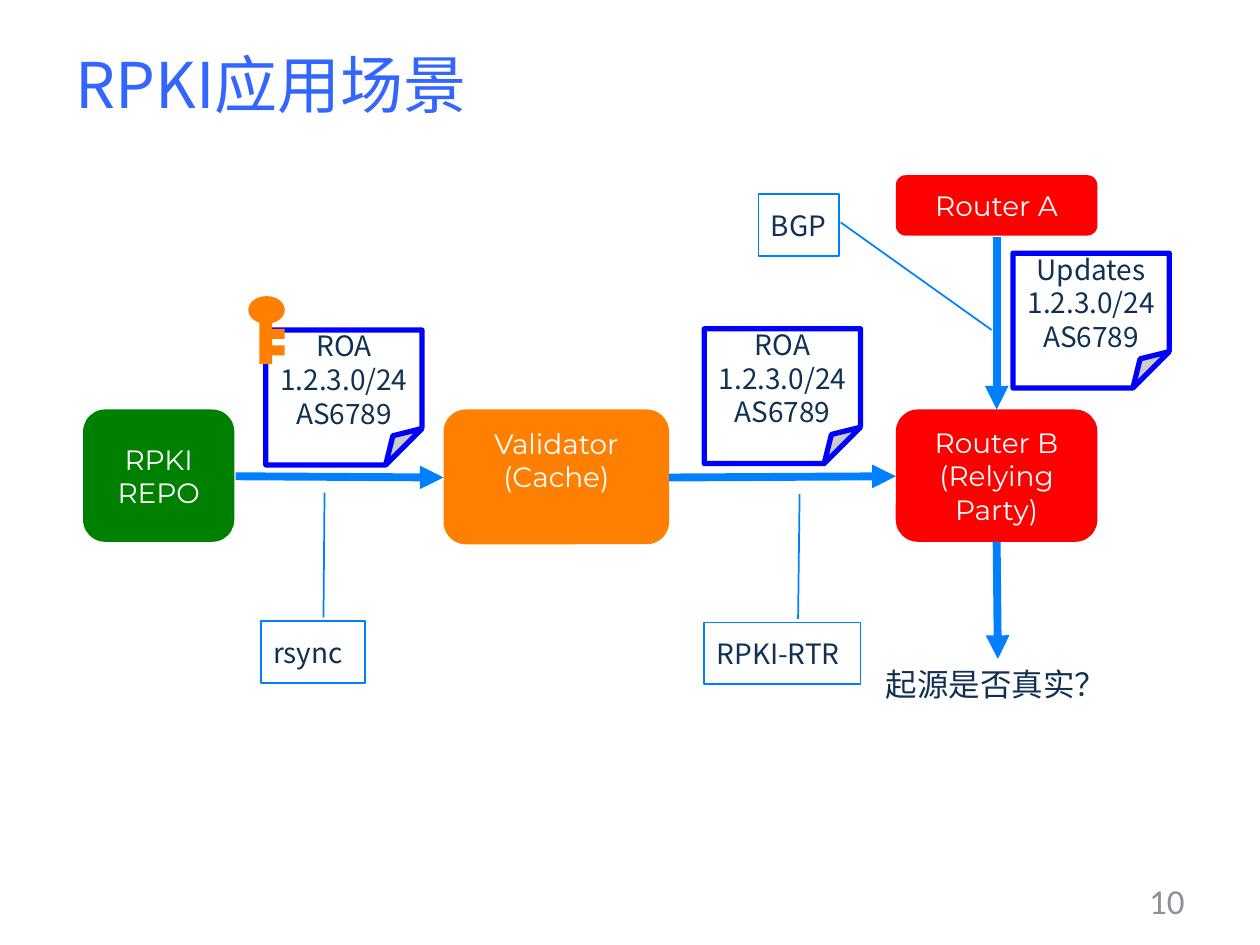
from dataclasses import dataclass

from lxml.etree import SubElement
from pptx import Presentation
from pptx.dml.color import RGBColor
from pptx.enum.shapes import MSO_CONNECTOR, MSO_SHAPE
from pptx.enum.text import MSO_ANCHOR, PP_ALIGN
from pptx.oxml.ns import qn
from pptx.util import Inches, Pt

COLORS = {
    "title": "3366FF", "text": "103154", "page": "8C9099", "white": "FFFFFF",
    "orange": "FF7F01", "green": "008000", "red": "FF0000",
    "arrow": "0080FF", "note": "0000FF",
}
SANS = "Noto Sans CJK SC"
LATIN = "Montserrat"


@dataclass
class Node:
    text: str
    box: tuple[float, float, float, float]
    fill: str
    bottom: float = 0.05


@dataclass
class Note:
    head: str
    left: float
    top: float


@dataclass
class Callout:
    text: str
    box: tuple[float, float, float, float]
    line: dict[str, float]


NODES = [
    Node("Validator\n(Cache)", (3.52, 3.25, 1.79, 1.07), "orange", 0.32),
    Node("RPKI\nREPO", (0.66, 3.25, 1.2, 1.05), "green"),
    Node("Router B\n(Relying Party)", (7.11, 3.25, 1.6, 1.05), "red"),
    Node("Router A", (7.11, 1.39, 1.6, 0.48), "red"),
]
ARROWS = [
    (1.87, 3.78, 3.52, 3.79),
    (5.31, 3.79, 7.11, 3.78),
    (7.91, 1.88, 7.91, 3.25),
    (7.91, 4.3, 7.92, 5.23),
]
NOTES = [Note("ROA", 2.11, 2.62), Note("ROA", 5.59, 2.61),
         Note("Updates", 8.04, 2.01)]
UP = {"adj1": -0.06, "adj2": 0.6, "adj3": -2.08, "adj4": 0.61}
ASIDE = {"adj1": 0.46, "adj2": 1.02, "adj3": 2.2, "adj4": 2.89}
CALLOUTS = [
    Callout("rsync", (2.07, 4.93, 0.83, 0.49), UP),
    Callout("RPKI-RTR", (5.59, 4.94, 1.24, 0.49), UP),
    Callout("BGP", (6.02, 1.54, 0.64, 0.49), ASIDE),
]
KEY = [
    (MSO_SHAPE.OVAL, (1.97, 2.35, 0.29, 0.22)),
    (MSO_SHAPE.RECTANGLE, (2.06, 2.51, 0.1, 0.38)),
    (MSO_SHAPE.RECTANGLE, (2.11, 2.74, 0.15, 0.08)),
    (MSO_SHAPE.RECTANGLE, (2.11, 2.61, 0.15, 0.08)),
]


def rgb(name: str) -> RGBColor:
    return RGBColor.from_string(COLORS[name])


def write(shape, text: str, size: float, color: str, font: str = SANS,
          align=PP_ALIGN.LEFT, anchor=MSO_ANCHOR.MIDDLE) -> None:
    frame = shape.text_frame
    frame.text = text
    frame.word_wrap = True
    frame.vertical_anchor = anchor
    for para in frame.paragraphs:
        para.alignment = align
        for run in para.runs:
            run.font.size = Pt(size)
            run.font.name = font
            run.font.color.rgb = rgb(color)
            # East Asian glyphs take their own typeface
            SubElement(run.font._element, qn("a:ea"), typeface=font)


def draw(shapes, kind, box, fill: str = "", line: str = "", width: float = 1):
    shape = shapes.add_shape(kind, *map(Inches, box))
    shape.shadow.inherit = False
    if fill:
        shape.fill.solid()
        shape.fill.fore_color.rgb = rgb(fill)
    else:
        shape.fill.background()
    if line:
        shape.line.color.rgb = rgb(line)
        shape.line.width = Pt(width)
    else:
        shape.line.fill.background()
    return shape


def adjust(shape, preset: str, values: dict[str, float]) -> None:
    """Set the preset outline and its guides, as shares of the shape size."""
    geom = shape._element.spPr.find(qn("a:prstGeom"))
    geom.set("prst", preset)
    for old in geom.findall(qn("a:avLst")):
        geom.remove(old)
    guides = SubElement(geom, qn("a:avLst"))
    for name, value in values.items():
        SubElement(guides, qn("a:gd"), name=name,
                   fmla=f"val {round(value * 100000)}")


def add_node(shapes, node: Node) -> None:
    shape = draw(shapes, MSO_SHAPE.ROUNDED_RECTANGLE, node.box, node.fill)
    write(shape, node.text, 16, "white", LATIN, PP_ALIGN.CENTER)
    shape.text_frame.margin_bottom = Inches(node.bottom)


def add_arrow(shapes, ends: tuple[float, float, float, float]) -> None:
    arrow = shapes.add_connector(MSO_CONNECTOR.STRAIGHT, *map(Inches, ends))
    arrow.line.color.rgb = rgb("arrow")
    arrow.line.width = Pt(4.5)
    SubElement(arrow.line._get_or_add_ln(), qn("a:tailEnd"), type="triangle")
    SubElement(arrow._element.spPr, qn("a:effectLst"))


def add_note(shapes, note: Note) -> None:
    box = (note.left, note.top, 1.24, 1.07)
    shape = draw(shapes, MSO_SHAPE.FOLDED_CORNER, box, "white", "note", 3)
    adjust(shape, "foldedCorner", {"adj": 0.27})
    write(shape, f"{note.head}\n1.2.3.0/24\nAS6789", 16, "text",
          align=PP_ALIGN.CENTER)
    for para in shape.text_frame.paragraphs:
        para.line_spacing = Pt(19.2)


def add_callout(shapes, item: Callout) -> None:
    shape = draw(shapes, MSO_SHAPE.LINE_CALLOUT_1, item.box, line="arrow")
    adjust(shape, "borderCallout1", item.line)
    write(shape, item.text, 16, "text")


def main() -> None:
    deck = Presentation()
    deck.slide_width, deck.slide_height = Inches(10), Inches(7.5)
    slide = deck.slides.add_slide(deck.slide_layouts[5])
    shapes = slide.shapes

    # Title and page number
    title = shapes.title
    title.left, title.top = Inches(0.5), Inches(0.04)
    title.width, title.height = Inches(9), Inches(1.25)
    write(title, "RPKI应用场景", 36, "title")
    page = shapes.add_textbox(*map(Inches, (7.17, 6.95, 2.33, 0.4)))
    write(page, "10", 20, "page", "Calibri", PP_ALIGN.RIGHT)

    # Flow between systems
    for node in NODES:
        add_node(shapes, node)
    for ends in ARROWS:
        add_arrow(shapes, ends)
    for note in NOTES:
        add_note(shapes, note)

    # Closing question
    ask = shapes.add_textbox(*map(Inches, (6.93, 5.23, 1.97, 0.4)))
    write(ask, "起源是否真实？", 18, "text", anchor=MSO_ANCHOR.TOP)
    ask.text_frame.word_wrap = False

    # Signing key
    group = shapes.add_group_shape()
    for kind, box in KEY:
        draw(group.shapes, kind, box, "orange")

    # Protocol labels
    for item in CALLOUTS:
        add_callout(shapes, item)

    deck.save("out.pptx")


if __name__ == "__main__":
    main()
